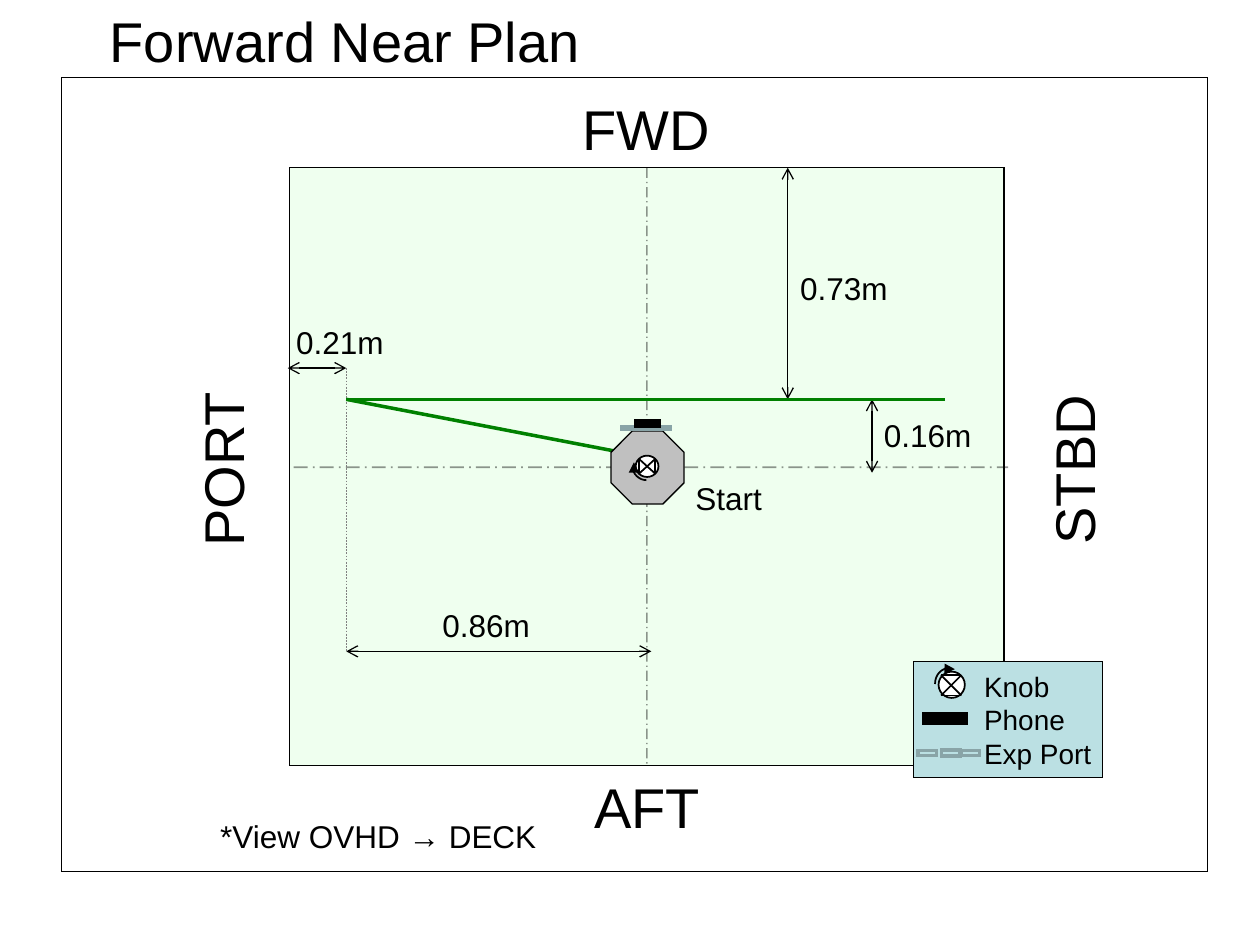
from lxml.etree import SubElement
from pptx import Presentation
from pptx.dml.color import RGBColor as Rgb
from pptx.enum.dml import MSO_LINE as Dash
from pptx.enum.shapes import MSO_CONNECTOR as Link, MSO_SHAPE as Kind
from pptx.enum.text import MSO_ANCHOR as Anchor, MSO_AUTO_SIZE as Fit, PP_ALIGN as Align
from pptx.oxml.ns import qn
from pptx.util import Cm, Pt

HUES = {"ink": "000000", "paper": "FFFFFF", "deck": "CCFFCC", "path": "008000",
        "body": "C0C0C0", "guide": "808080", "port": "BBE0E3", "edge": "89A4A7"}

TITLE = ("Forward Near Plan", 1.96, 0, 10.1, 1.63)
FRAME = (1.24, 1.57, 23.11, 16)
DECK = (5.84, 3.38, 14.4, 12.06)
SIDES = [
    ("FWD", 11.5, 1.78, 3.15, 0),
    ("AFT", 11.73, 15.44, 2.7, 0),
    ("PORT", 2.64, 8.61, 3.7, 270),
    ("STBD", 19.85, 8.61, 3.6, 270),
]
NOTES = [
    ("*View OVHD → DECK", 4.19, 16.34, 7.44),
    ("0.86m", 8.67, 12.09, 2.32),
    ("0.73m", 15.88, 5.29, 2.32),
    ("Start", 13.77, 9.53, 1.88),
    ("0.16m", 17.57, 8.26, 2.32),
    ("0.21m", 5.72, 6.38, 2.32),
]
TURN = (6.98, 8.05)
SPANS = [
    (6.98, 13.13, 13.13, 13.13),
    (15.88, 8.05, 15.88, 3.38),
    (17.58, 9.53, 17.58, 8.05),
    (5.8, 7.42, 6.98, 7.42),
]
ROUTE = [(13.21, 9.25), (19.05, 8.05)]
UNIT = {
    "knob": (12.83, 9.17, 0.43, 0.46), "cross": (12.88, 9.25, 13.21, 9.55), "upright": True,
    "arc": [(13.03, 9.68), (12.88, 9.68), (12.75, 9.55), (12.75, 9.4)], "tip": (12.78, 9.32),
    "ports": [(12.65, 8.48, 0.05, 0.28), (13.34, 8.48, 0.05, 0.28), (12.98, 8.49, 0.05, 0.28)],
    "phone": (13, 8.31, 0.1, 0.46), "spin": 270,
}
KEY = {
    "knob": (18.92, 13.54, 0.53, 0.53), "cross": (18.97, 13.61, 19.38, 14.02), "upright": False,
    "arc": [(18.85, 13.79), (18.85, 13.61), (18.97, 13.46), (19.18, 13.46)], "tip": (19.25, 13.49),
    "ports": [(19.51, 14.99, 0.1, 0.38), (18.64, 14.99, 0.1, 0.38), (19.1, 14.99, 0.13, 0.38)],
    "phone": (18.95, 14.07, 0.2, 0.84), "spin": 90,
}
HULL = (12.32, 8.69, 1.47, 1.47)
CARD = (18.42, 13.34, 3.81, 2.33)
NAMES = ["Knob", "Phone", "Exp Port"]


def rgb(hue):
    return Rgb.from_string(HUES[hue])


def fade(fill, part):
    clr = fill._xPr.find(".//" + qn("a:srgbClr"))
    SubElement(clr, qn("a:alpha")).set("val", str(part * 1000))


def stroke(item, hue, size):
    item.line.color.rgb = rgb(hue)
    item.line.width = Pt(size)


def heads(item, kind, *ends):
    for end in ends:
        SubElement(item.line._get_or_add_ln(), qn("a:" + end)).set("type", kind)


def shape(host, kind, box, fill, line="ink", size=0.75, spin=0):
    item = host.shapes.add_shape(kind, *map(Cm, box))
    item.shadow.inherit = False
    item.fill.solid()
    item.fill.fore_color.rgb = rgb(fill)
    stroke(item, line, size)
    SubElement(item.line._get_or_add_ln(), qn("a:miter")).set("lim", "800000")
    item.rotation = spin
    return item


def wire(host, ends, hue="ink", size=0.75, dash=None):
    item = host.shapes.add_connector(Link.STRAIGHT, *map(Cm, ends))
    stroke(item, hue, size)
    if dash:
        item.line.dash_style = dash
    SubElement(item._element.spPr, qn("a:effectLst"))
    return item


def style(frame, size):
    for para in frame.paragraphs:
        para.alignment = Align.LEFT
        for run in para.runs:
            run.font.size = Pt(size)
            run.font.name = "Arial"
            run.font.color.rgb = rgb("ink")


def write(item, text, size, wrap=False):
    frame = item.text_frame
    frame.text = text
    frame.word_wrap = wrap
    frame.auto_size = Fit.NONE
    frame.vertical_anchor = Anchor.TOP
    style(frame, size)


def label(host, text, box, size, spin=0, wrap=False):
    item = host.shapes.add_textbox(*map(Cm, box))
    write(item, text, size, wrap)
    item.rotation = spin


def bend(dots, t):
    rates = ((1 - t) ** 3, 3 * t * (1 - t) ** 2, 3 * t * t * (1 - t), t ** 3)
    return tuple(Cm(sum(r * d[i] for r, d in zip(rates, dots))) for i in (0, 1))


def device(host, part):
    shape(host, Kind.OVAL, part["knob"], "paper", size=1, spin=part["spin"])
    x, y, x2, y2 = part["cross"]
    bars = [(x, y, x, y2), (x2, y, x2, y2)] if part["upright"] else [(x, y, x2, y), (x, y2, x2, y2)]
    for ends in bars + [(x, y, x2, y2), (x, y2, x2, y)]:
        wire(host, ends, size=1)
    dots = [bend(part["arc"], i / 8) for i in range(9)] + [tuple(map(Cm, part["tip"]))]
    pen = host.shapes.build_freeform(*dots[0])
    pen.add_line_segments(dots[1:], close=False)
    arc = pen.convert_to_shape()
    arc.shadow.inherit = False
    arc.fill.background()
    stroke(arc, "ink", 1)
    heads(arc, "triangle", "tailEnd")
    for box in part["ports"]:
        shape(host, Kind.RECTANGLE, box, "port", "edge", 2, part["spin"])
    shape(host, Kind.RECTANGLE, part["phone"], "ink", "ink", 2, 90)


def main():
    deck = Presentation()
    deck.slide_width, deck.slide_height = Cm(25.4), Cm(19.05)
    page = deck.slides.add_slide(deck.slide_layouts[5])
    head = page.shapes.title
    head.left, head.top, head.width, head.height = map(Cm, TITLE[1:])
    write(head, TITLE[0], 32)

    shape(page, Kind.RECTANGLE, FRAME, "paper")
    floor = shape(page, Kind.RECTANGLE, DECK, "deck")
    fade(floor.fill, 30)
    for text, x, y, w, spin in SIDES:
        label(page, text, (x, y, w, 1.63), 32, spin)
    for i, (text, x, y, w) in enumerate(NOTES):
        label(page, text, (x, y, w, 1.02), 18, wrap=i == 0)

    for ends in SPANS:
        heads(wire(page, ends), "arrow", "headEnd", "tailEnd")
    beam = wire(page, (5.92, 9.42, 20.32, 9.42), size=1, dash=Dash.LONG_DASH_DOT)
    keel = wire(page, (13.04, 3.38, 13.04, 15.44), dash=Dash.LONG_DASH_DOT)
    keel.begin_connect(floor, 0)
    keel.end_connect(floor, 2)
    for axis in (beam, keel):
        fade(axis.line.fill, 41)
    wire(page, (6.98, 7.42, 6.98, 13.13), "guide", 0.25, Dash.DASH)
    for start in ROUTE:
        wire(page, start + TURN, "path", 2)

    unit = page.shapes.add_group_shape()
    hull = shape(unit, Kind.OCTAGON, HULL, "body", spin=270)
    hull.adjustments[0] = 0.29
    device(unit, UNIT)

    key = page.shapes.add_group_shape()
    card = shape(key, Kind.RECTANGLE, CARD, "port")
    frame = card.text_frame
    frame.text = "\n".join(NAMES)
    frame.word_wrap = False
    frame.vertical_anchor = Anchor.MIDDLE
    frame.margin_left = frame.margin_right = Cm(0.15)
    style(frame, 16)
    for para in frame.paragraphs:
        para.level = 1
        rule = para._p.get_or_add_pPr()
        rule.set("marL", str(Cm(1.27)))
        rule.set("indent", "0")
    device(key, KEY)
    deck.save("out.pptx")


if __name__ == "__main__":
    main()
